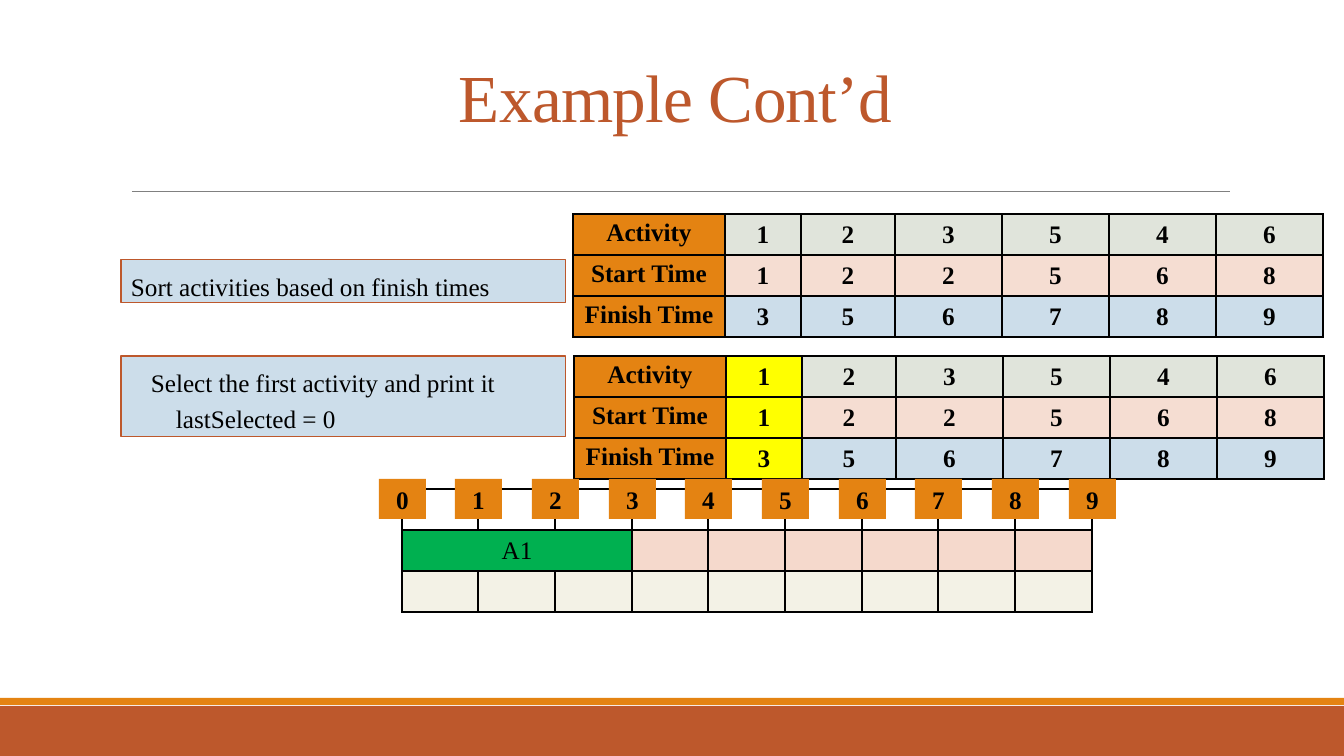
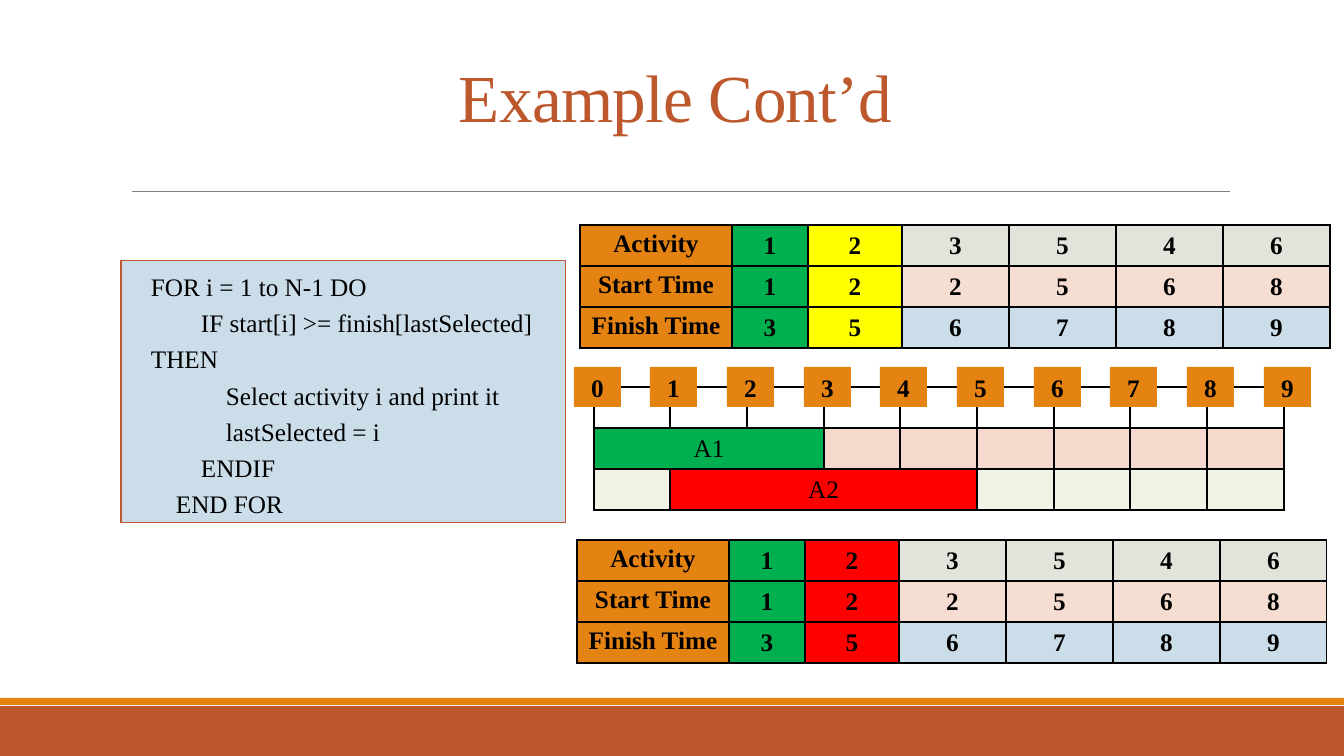
import lxml.etree
import pptx
import pptx.dml.color
import pptx.enum.shapes
import pptx.enum.text
import pptx.oxml.ns
import pptx.util

SCALE = 914400 / 100.8
HUE = {
    "rust": "BD582C", "amber": "E48312", "rule": "808080", "ink": "000000",
    "white": "FFFFFF", "sage": "E0E4DB", "peach": "F5DDD2", "sky": "CCDDEA",
    "blush": "F5D9CC", "cream": "F3F2E6", "green": "00B050",
    "yellow": "FFFF00", "red": "FF0000",
}
RGB = {key: pptx.dml.color.RGBColor.from_string(code) for key, code in HUE.items()}
FONT = "Times New Roman"
PLAIN = {"name": FONT, "size": pptx.util.Pt(18), "bold": False}
BOLD = {**PLAIN, "bold": True}
TITLE = {**PLAIN, "size": pptx.util.Pt(48)}
ALIGN = pptx.enum.text.PP_ALIGN
ANCHOR = pptx.enum.text.MSO_ANCHOR
LEFT = {"alignment": ALIGN.LEFT, "line_spacing": 1.2}
MID = {"alignment": ALIGN.CENTER}
HEAD = {**MID, "line_spacing": 0.85}

COLS = [152, 76, 94, 107, 107, 107, 107]
ROW = 41
EDGES = [690 * i // 9 for i in range(10)]
STEPS = [b - a for a, b in zip(EDGES, EDGES[1:])]
DATA = [
    ("Activity", "sage", "123546"),
    ("Start Time", "peach", "122568"),
    ("Finish Time", "sky", "356789"),
]

PAGES = [
    {
        "notes": [
            (260, 43, 0, [(0, "Sort activities based on finish times")]),
            (356, 81, 20, [(0, "Select the first activity and print it"),
                           (1, "lastSelected = 0")]),
        ],
        "tables": [(573, 214, {}), (574, 356, {1: "yellow"})],
        "time": (402, 489),
        "tags": (379, 479),
        "bars": [("A1", 1, 0, 3, "green")],
    },
    {
        "notes": [
            (260, 263, 20, [
                (0, "FOR i = 1 to N-1 DO"),
                (2, "IF start[i] >= finish[lastSelected] THEN"),
                (3, "Select activity i and print it"),
                (3, "lastSelected = i"),
                (2, "ENDIF"),
                (1, "END FOR"),
            ]),
        ],
        "tables": [(580, 225, {1: "green", 2: "yellow"}),
                   (577, 540, {1: "green", 2: "red"})],
        "time": (594, 387),
        "tags": (574, 367),
        "bars": [("A1", 1, 0, 3, "green"), ("A2", 2, 1, 4, "red")],
    },
]


def px(n):
    return pptx.util.Emu(round(n * SCALE))


def write(frame, lines, look, form, hue="ink", pad=0):
    frame.word_wrap = True
    for i, (depth, text) in enumerate(lines):
        para = frame.add_paragraph() if i else frame.paragraphs[0]
        for key, value in form.items():
            setattr(para, key, value)
        if pad:
            props = para._p.get_or_add_pPr()
            props.set("marL", str(px(pad)))
            props.set("indent", str(px(25 * depth)))
        run = para.add_run()
        run.text = text
        for key, value in look.items():
            setattr(run.font, key, value)
        run.font.color.rgb = RGB[hue]


deck = pptx.Presentation()
deck.slide_width, deck.slide_height = px(1344), px(756)

for page in PAGES:
    slide = deck.slides.add_slide(deck.slide_layouts[6])
    shapes = slide.shapes

    rule = shapes.add_connector(
        pptx.enum.shapes.MSO_CONNECTOR.STRAIGHT, px(132), px(191), px(1230), px(191))
    rule.line.color.rgb = RGB["rule"]
    rule.line.width = pptx.util.Pt(0.5)
    lxml.etree.SubElement(rule._element.spPr, pptx.oxml.ns.qn("a:effectLst"))

    title = shapes.add_textbox(px(121), px(50), px(1109), px(91)).text_frame
    title.vertical_anchor = ANCHOR.BOTTOM
    write(title, [(0, "Example Cont’d")], TITLE, HEAD, "rust")
    title.paragraphs[0].runs[0]._r.get_or_add_rPr().set("spc", "-50")

    grids = []
    for x, y, marks in page["tables"]:
        cells = {}
        for r, (label, tint, values) in enumerate(DATA):
            cells[r, 0] = (label, "amber", BOLD, 1)
            for c, value in enumerate(values, 1):
                cells[r, c] = (value, marks.get(c, tint), BOLD, 1)
        grids.append((x, y, COLS, cells))

    cells = {(r, c): ("", tint, PLAIN, 1)
             for r, tint in enumerate(["white", "blush", "cream"]) for c in range(9)}
    for text, r, c, span, tint in page["bars"]:
        cells[r, c] = (text, tint, PLAIN, span)
    grids.append((*page["time"], STEPS, cells))

    for left, high, widths, cells in grids:
        table = shapes.add_table(
            3, len(widths), px(left), px(high), px(sum(widths)), px(3 * ROW)).table
        table.first_row = table.horz_banding = False
        for col, width in zip(table.columns, widths):
            col.width = px(width)
        for row in table.rows:
            row.height = px(ROW)
        for (r, c), (text, tint, look, span) in cells.items():
            cell = table.cell(r, c)
            props = cell._tc.get_or_add_tcPr()
            for side in ("lnL", "lnR", "lnT", "lnB"):
                line = lxml.etree.SubElement(props, pptx.oxml.ns.qn("a:" + side), w="12700")
                fill = lxml.etree.SubElement(line, pptx.oxml.ns.qn("a:solidFill"))
                lxml.etree.SubElement(fill, pptx.oxml.ns.qn("a:srgbClr"), val=HUE["ink"])
            cell.fill.solid()
            cell.fill.fore_color.rgb = RGB[tint]
            cell.vertical_anchor = ANCHOR.TOP if tint == "amber" else ANCHOR.MIDDLE
            if span > 1:
                cell.merge(table.cell(r, c + span - 1))
            if text:
                write(cell.text_frame, [(0, text)], look, MID)

    boxes = [
        (0, 706, 1344, 50, "rust", None, [], PLAIN, MID, 0),
        (0, 698, 1344, 7, "amber", None, [], PLAIN, MID, 0),
    ]
    for high, tall, pad, lines in page["notes"]:
        boxes.append((121, high, 445, tall, "sky", "rust", lines, PLAIN, LEFT, pad))
    start, top = page["tags"]
    for i, edge in enumerate(EDGES):
        boxes.append((start + edge, top, 47, 40, "amber", None,
                      [(0, str(i))], BOLD, MID, 0))

    for left, high, wide, tall, tint, rim, lines, look, form, pad in boxes:
        box = shapes.add_shape(
            pptx.enum.shapes.MSO_SHAPE.RECTANGLE, px(left), px(high), px(wide), px(tall))
        box.shadow.inherit = False
        box.fill.solid()
        box.fill.fore_color.rgb = RGB[tint]
        if rim:
            box.line.color.rgb = RGB[rim]
            box.line.width = pptx.util.Pt(0.75)
        else:
            box.line.fill.background()
        box.text_frame.vertical_anchor = ANCHOR.TOP
        write(box.text_frame, lines, look, form, pad=pad)

deck.save("out.pptx")
